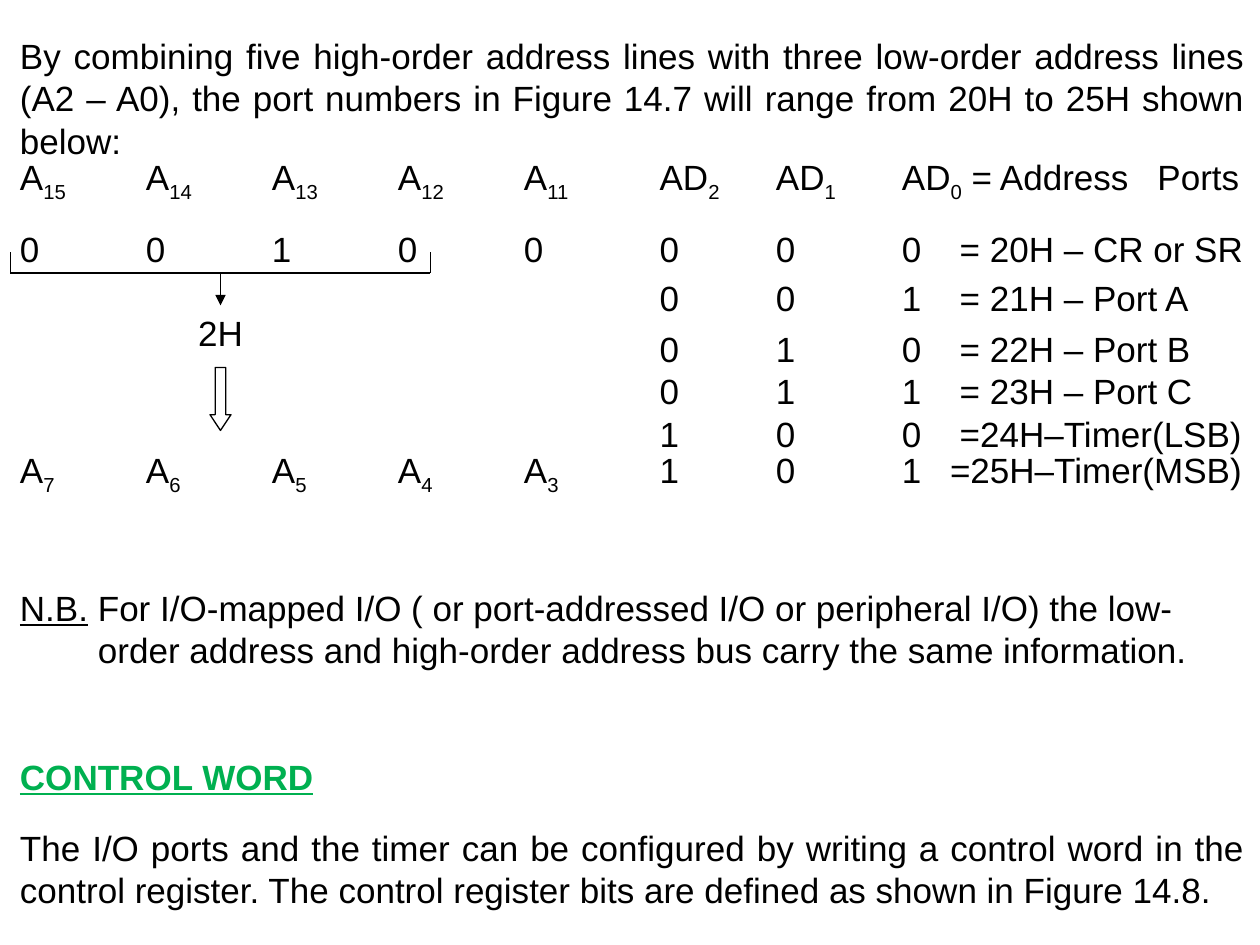
from lxml import etree
from pptx import Presentation
from pptx.dml.color import RGBColor
from pptx.enum.shapes import MSO_CONNECTOR, MSO_SHAPE
from pptx.enum.text import MSO_ANCHOR, PP_ALIGN
from pptx.oxml.ns import qn
from pptx.util import Pt

STRAIGHT = MSO_CONNECTOR.STRAIGHT
DOWN_ARROW = MSO_SHAPE.DOWN_ARROW
MIDDLE = MSO_ANCHOR.MIDDLE
LEFT, CENTER, JUSTIFY = PP_ALIGN.LEFT, PP_ALIGN.CENTER, PP_ALIGN.JUSTIFY

THEME = {
    "font": "Arial",
    "size": Pt(20),
    "leading": Pt(24.1),
    "line": Pt(0.75),
    "ink": RGBColor(0, 0, 0),
    "heading": RGBColor(0x00, 0xB0, 0x50),
}
BIT_STOPS = [72, 144, 216, 288, 365.5, 432, 504]
PORT_STOP, HEAD_STOP, LAST_STOP = 537, 650, 531.5
NB_INDENT = 44.6


def write_para(para, spans, before=0, align=LEFT, stops=(), hang=0):
    """Fill a paragraph with (text, format) spans; "sub" marks a subscript."""
    props = para._p.get_or_add_pPr()
    if hang:
        props.set("marL", str(Pt(hang)))
        props.set("indent", str(-Pt(hang)))
    if stops:
        tabs = etree.SubElement(props, qn("a:tabLst"))
        for stop in stops:
            etree.SubElement(tabs, qn("a:tab"), pos=str(Pt(stop)), algn="l")
    para.alignment = align
    para.line_spacing = THEME["leading"]
    para.space_before = Pt(before)
    for text, style in spans:
        span = para.add_run()
        span.text = text
        span.font.color.rgb = style.get("color", THEME["ink"])
        formats = {"name": THEME["font"], "size": THEME["size"],
                   "bold": style.get("bold", False),
                   "underline": style.get("underline", False)}
        for name, value in formats.items():
            setattr(span.font, name, value)
        if style.get("sub"):
            span._r.get_or_add_rPr().set("baseline", "-25000")


def draw_line(x1, y1, x2, y2):
    line = slide.shapes.add_connector(STRAIGHT, Pt(x1), Pt(y1), Pt(x2), Pt(y2))
    line.line.color.rgb = THEME["ink"]
    line.line.width = THEME["line"]
    etree.SubElement(line._element.spPr, qn("a:effectLst"))
    return line


deck = Presentation()
deck.slide_width, deck.slide_height = Pt(720), Pt(540)
slide = deck.slides.add_slide(deck.slide_layouts[6])

# Address bit labels with subscripts
PLAIN, SUB = {}, {"sub": True}
header = []
for name, number in [("A", n) for n in range(15, 10, -1)] + [("AD", 2), ("AD", 1)]:
    header += [(name, PLAIN), (f"{number}\t", SUB)]
header += [("AD", PLAIN), ("0", SUB), (" = Address\tPorts", PLAIN)]

low_bits = []
for number in range(7, 2, -1):
    low_bits += [("A", PLAIN), (f"{number}\t", SUB)]

# Port rows: leading spans, low bits, meaning, space before
skip = [("\t" * 5, PLAIN)]
port_rows = [
    ([("0\t0\t1\t0\t0\t", PLAIN)], "000", "= 20H – CR or SR", 13.5),
    (skip, "001", "= 21H – Port A", 4.2),
    (skip, "010", "= 22H – Port B", 5),
    (skip, "011", "= 23H – Port C", 0.2),
    (skip, "100", "=24H–Timer(LSB)", 0),
    (low_bits, "101", "=25H–Timer(MSB)", 0),
]

paragraphs = [
    {"spans": [("By combining five high-order address lines with three low-order "
                "address lines (A2 – A0), the port numbers in Figure 14.7 will "
                "range from 20H to 25H shown below:", PLAIN)], "align": JUSTIFY},
    {"spans": header, "stops": BIT_STOPS + [HEAD_STOP]},
]
for lead, bits, meaning, before in port_rows:
    port_stop = LAST_STOP if lead is low_bits else PORT_STOP
    paragraphs.append({"spans": lead + [("\t".join([*bits, meaning]), PLAIN)],
                       "before": before, "stops": BIT_STOPS + [port_stop]})
paragraphs += [
    {"spans": [("N.B.", {"underline": True}),
               (" For I/O-mapped I/O ( or port-addressed I/O or peripheral I/O) the "
                "low-order address and high-order address bus carry the same "
                "information.", PLAIN)], "before": 51.4, "hang": NB_INDENT},
    {"spans": [("CONTROL WORD", {"color": THEME["heading"], "bold": True,
                                 "underline": True})], "before": 48.2},
    {"spans": [("The I/O ports and the timer can be configured by writing a control "
                "word in the control register. The control register bits are defined "
                "as shown in Figure 14.8.", PLAIN)], "before": 16.5, "align": JUSTIFY},
]

# Body text
body = slide.shapes.add_textbox(Pt(4.3), Pt(0), Pt(714.3), Pt(540)).text_frame
body.word_wrap = True
body.vertical_anchor = MIDDLE
for index, content in enumerate(paragraphs):
    para = body.add_paragraph() if index else body.paragraphs[0]
    write_para(para, **content)

# Bracket under the four high bits
BRACKET_LEFT, BRACKET_RIGHT, BRACKET_TOP, BRACKET_BOTTOM = 6, 246, 144, 156
draw_line(BRACKET_LEFT, BRACKET_BOTTOM, BRACKET_RIGHT, BRACKET_BOTTOM)
for x in (BRACKET_LEFT, BRACKET_RIGHT):
    draw_line(x, BRACKET_TOP, x, BRACKET_BOTTOM)

# Hex value, with the arrow leading to it
AXIS = 126
label = slide.shapes.add_textbox(Pt(AXIS - 21), Pt(174.5), Pt(42), Pt(31.5))
label.text_frame.word_wrap = False
write_para(label.text_frame.paragraphs[0], [("2H", PLAIN)], align=CENTER)
pointer = draw_line(AXIS, BRACKET_BOTTOM, AXIS, 174.5)
pointer.end_connect(label, 0)
etree.SubElement(pointer.line._get_or_add_ln(), qn("a:tailEnd"), type="triangle")

# Block arrow down to the low address lines
arrow = slide.shapes.add_shape(DOWN_ARROW, Pt(AXIS - 6), Pt(210), Pt(12), Pt(36))
arrow.shadow.inherit = False
arrow.adjustments[0], arrow.adjustments[1] = 0.5, 0.75
arrow.fill.background()
arrow.line.color.rgb = THEME["ink"]
arrow.line.width = THEME["line"]

deck.save("out.pptx")
